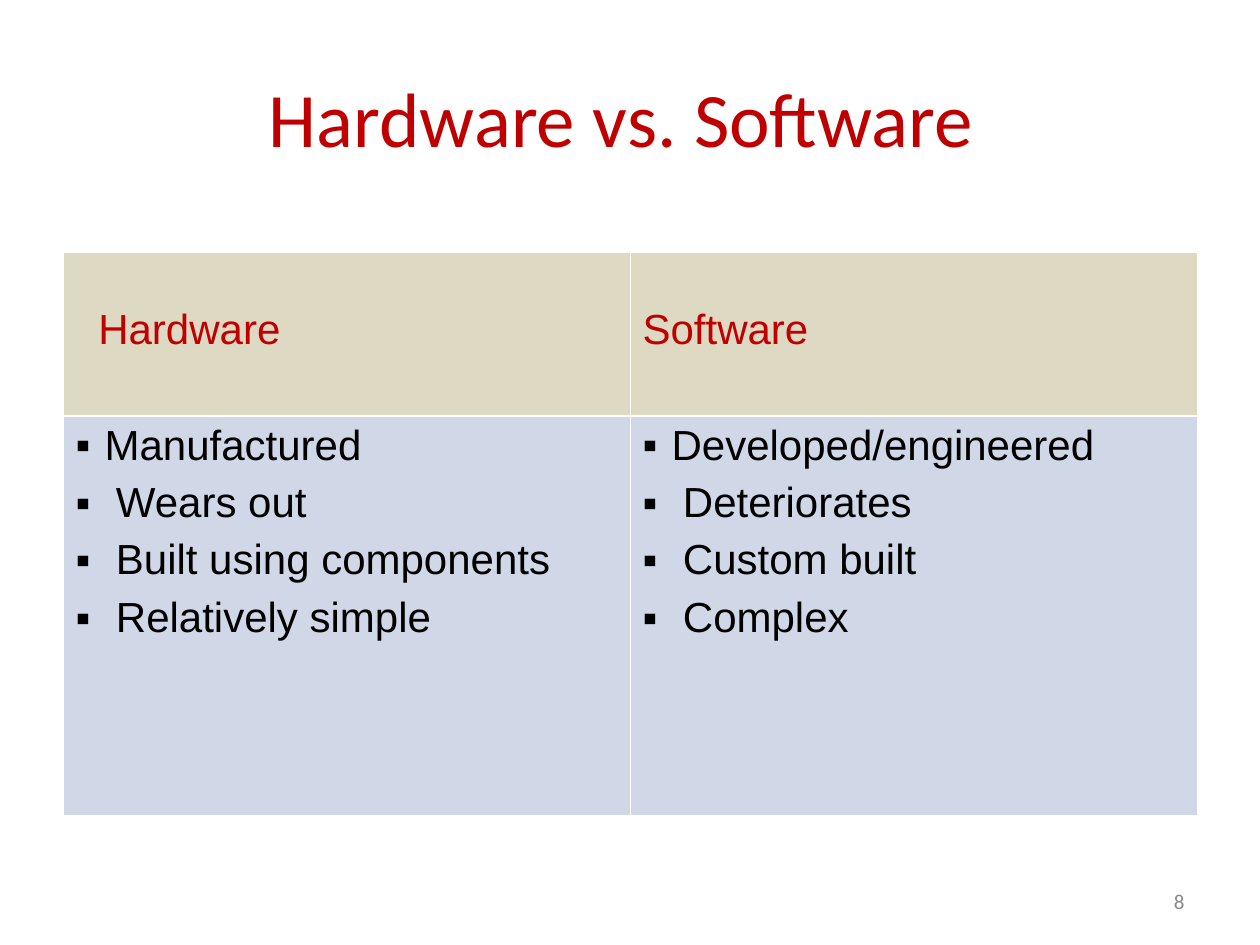
from dataclasses import dataclass

from lxml import etree
from pptx import Presentation
from pptx.dml.color import RGBColor
from pptx.enum.text import MSO_ANCHOR, PP_ALIGN
from pptx.oxml.ns import qn
from pptx.util import Inches, Pt

LEFT, MID, RIGHT = PP_ALIGN.LEFT, PP_ALIGN.CENTER, PP_ALIGN.RIGHT
TOP, CENTER = MSO_ANCHOR.TOP, MSO_ANCHOR.MIDDLE
RED, BLACK, WHITE, GREY = "C00000", "000000", "FFFFFF", "898989"
SAND, BLUE = "DDD9C3", "D0D8E8"
THIN, THICK = 0.45, 1.47


@dataclass
class Column:
    head: str
    inset: float
    items: list[str]


@dataclass
class Label:
    text: str
    box: tuple[float, float, float, float]
    size: float
    color: str
    align: PP_ALIGN
    pad: float


COLUMNS = [
    Column("Hardware", 0.18, ["Manufactured", "Wears out",
                              "Built using components", "Relatively simple"]),
    Column("Software", 0, ["Developed/engineered", "Deteriorates",
                           "Custom built", "Complex"]),
]
LABELS = [
    Label("Hardware vs. Software", (0.5, 0.3, 9, 1.25), 44, RED, MID, 0.24),
    Label("8", (7.17, 6.95, 2.33, 0.4), 12, GREY, RIGHT, 0.1),
]


def rgb(code: str) -> RGBColor:
    return RGBColor.from_string(code)


def write(para, text: str, *, size: float = 24, color: str = BLACK,
          font: str = "Arial", align: PP_ALIGN = LEFT) -> None:
    para.alignment = align
    run = para.add_run()
    run.text = text
    run.font.size = Pt(size)
    run.font.name = font
    run.font.bold = False
    run.font.color.rgb = rgb(color)


def indent(para, left: float, first: float = 0) -> None:
    props = para._p.get_or_add_pPr()
    props.set("marL", str(Inches(left)))
    props.set("indent", str(Inches(first)))


def bullet(para, gap: float) -> None:
    indent(para, gap, -gap)
    para.space_before = Pt(6)
    props = para._p.get_or_add_pPr()
    tint = etree.SubElement(props, qn("a:buClr"))
    etree.SubElement(tint, qn("a:srgbClr"), val=BLACK)
    etree.SubElement(props, qn("a:buFont"), typeface="Arial")
    etree.SubElement(props, qn("a:buChar"), char="▪")


def border(cell, top: float, bottom: float) -> None:
    props = cell._tc.get_or_add_tcPr()
    sides = {"lnL": THIN, "lnR": THIN, "lnT": top, "lnB": bottom}
    for spot, (side, width) in enumerate(sides.items()):
        line = etree.Element(qn(f"a:{side}"), w=str(Pt(width)))
        fill = etree.SubElement(line, qn("a:solidFill"))
        etree.SubElement(fill, qn("a:srgbClr"), val=WHITE)
        props.insert(spot, line)


def style(cell, fill: str, anchor: MSO_ANCHOR, pad: float) -> None:
    cell.fill.solid()
    cell.fill.fore_color.rgb = rgb(fill)
    cell.vertical_anchor = anchor
    cell.margin_left = cell.margin_right = Inches(0.1)
    cell.margin_top, cell.margin_bottom = Inches(0.05), Inches(pad)


def draw_label(slide, label: Label) -> None:
    frame = slide.shapes.add_textbox(*map(Inches, label.box)).text_frame
    frame.word_wrap = True
    frame.vertical_anchor = CENTER
    frame.margin_right = Inches(label.pad)
    write(frame.paragraphs[0], label.text, size=label.size,
          color=label.color, font="Calibri", align=label.align)


def draw_column(table, index: int, column: Column) -> None:
    head, body = table.cell(0, index), table.cell(1, index)
    style(head, SAND, CENTER, 0.11)
    border(head, THIN, THICK)
    para = head.text_frame.paragraphs[0]
    write(para, column.head, color=RED)
    indent(para, column.inset)

    style(body, BLUE, TOP, 0.05)
    border(body, THICK, THIN)
    frame = body.text_frame
    for row, item in enumerate(column.items):
        para = frame.add_paragraph() if row else frame.paragraphs[0]
        write(para, item)
        bullet(para, 0.32 if row else 0.23)


def main() -> None:
    deck = Presentation()
    deck.slide_width, deck.slide_height = Inches(10), Inches(7.5)
    slide = deck.slides.add_slide(deck.slide_layouts[6])
    for label in LABELS:
        draw_label(slide, label)
    table = slide.shapes.add_table(2, len(COLUMNS), Inches(0.5), Inches(2),
                                   Inches(9), Inches(4.47)).table
    for row, height in zip(table.rows, (1.3, 3.17)):
        row.height = Inches(height)
    for index, column in enumerate(COLUMNS):
        draw_column(table, index, column)
    deck.save("out.pptx")


if __name__ == "__main__":
    main()
